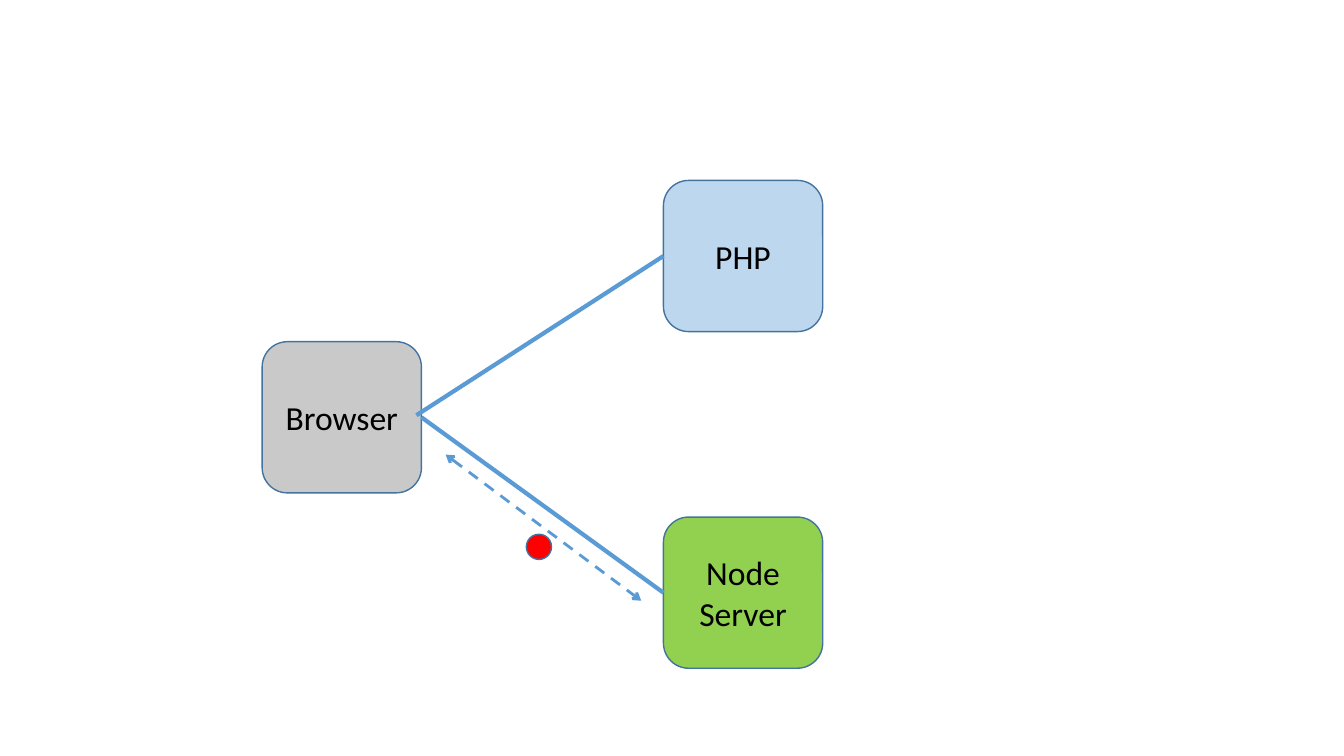
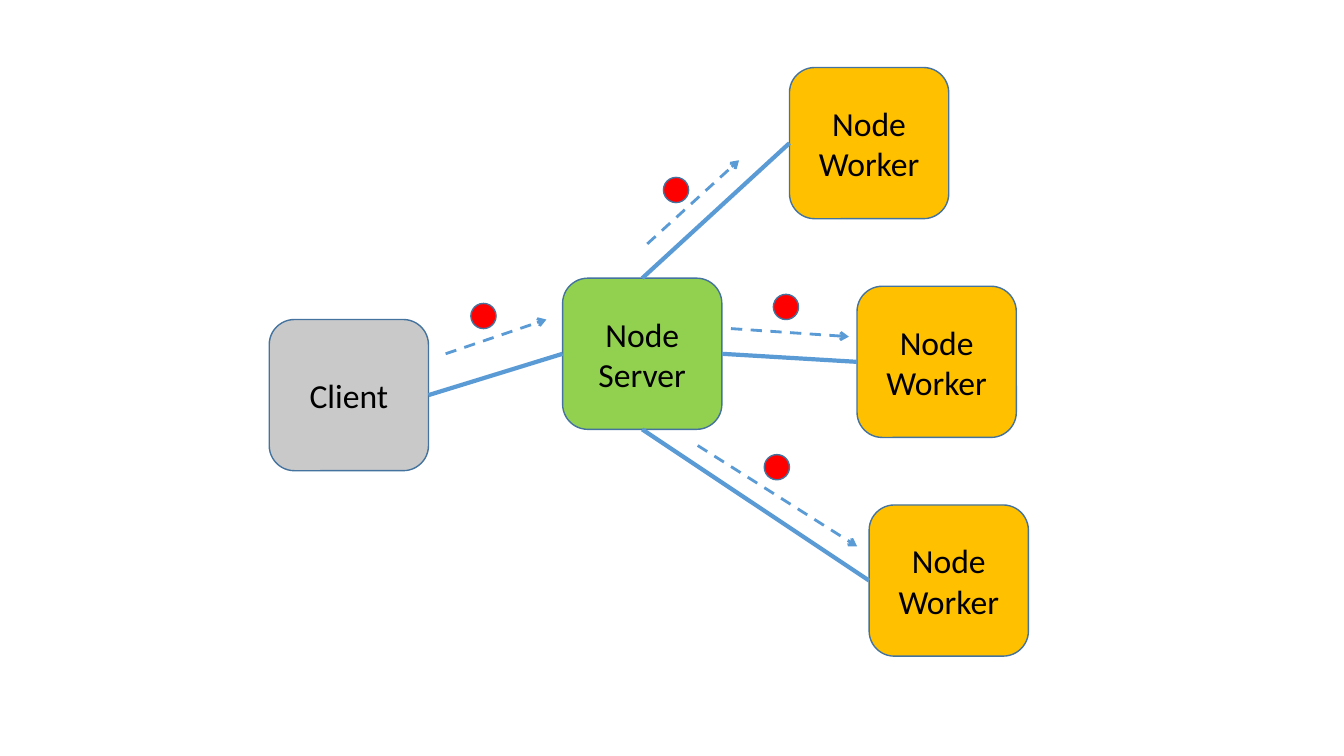
from lxml import etree
from pptx import Presentation
from pptx import util as u
from pptx.dml.color import RGBColor
from pptx.enum import dml, shapes, text
from pptx.oxml import ns

GREY, GREEN, GOLD, SKY, RED = "C9C9C9", "92D050", "FFC000", "BDD7EE", "FF0000"
EDGE, LINK, BLACK = "43739E", "5B9BD5", "000000"
WIDE, HIGH, DOT = 1.58, 1.5, 0.25
TOP, LEFT, BOTTOM, RIGHT = range(4)


def paint(target, color):
    target.rgb = RGBColor.from_string(color)


def shift(box, spot):
    return [u.Inches(base + move) for base, move in zip(box, spot)]


def write(shape, words, size=24, color=BLACK, font="Calibri"):
    frame = shape.text_frame
    frame.word_wrap = True
    frame.vertical_anchor = text.MSO_ANCHOR.MIDDLE
    para = frame.paragraphs[0]
    para.text = words
    para.alignment = text.PP_ALIGN.CENTER
    for run in para.runs:
        run.font.size = u.Pt(size)
        run.font.name = font
        paint(run.font.color, color)


def solid(slide, box, spot, size, kind, color):
    shape = slide.shapes.add_shape(kind, *shift(box, spot), *map(u.Inches, size))
    shape.shadow.inherit = False
    shape.fill.solid()
    paint(shape.fill.fore_color, color)
    paint(shape.line.color, EDGE)
    shape.line.width = u.Pt(1)
    return shape


def node(slide, box, spot, words, color):
    kind = shapes.MSO_SHAPE.ROUNDED_RECTANGLE
    shape = solid(slide, box, spot, (WIDE, HIGH), kind, color)
    write(shape, words)
    return shape


def dot(slide, box, spot):
    solid(slide, box, spot, (DOT, DOT), shapes.MSO_SHAPE.OVAL, RED)


def line(slide, box, start, end, width=3):
    wire = slide.shapes.add_connector(
        shapes.MSO_CONNECTOR.STRAIGHT, *shift(box, start), *shift(box, end))
    paint(wire.line.color, LINK)
    wire.line.width = u.Pt(width)
    etree.SubElement(wire.element.spPr, ns.qn("a:effectLst"))
    return wire


def link(slide, first, side, last, other):
    wire = line(slide, (0, 0), (0, 0), (1, 1))
    wire.begin_connect(first, side)
    wire.end_connect(last, other)


def arrow(slide, box, start, end, ends=("tailEnd",)):
    wire = line(slide, box, start, end, width=2)
    wire.line.dash_style = dml.MSO_LINE.DASH
    stroke = wire.line._get_or_add_ln()
    for tip in ends:
        etree.SubElement(stroke, ns.qn("a:" + tip), type="arrow")


def web(slide, box):
    server = node(slide, box, (3.98, 3.34), "Node\nServer", GREEN)
    browser = node(slide, box, (0, 1.6), "Browser", GREY)
    link(slide, browser, RIGHT, server, LEFT)
    arrow(slide, box, (1.82, 2.72), (3.76, 4.17), ends=("headEnd", "tailEnd"))
    dot(slide, box, (2.62, 3.51))
    php = node(slide, box, (3.98, 0), "PHP", SKY)
    wire = line(slide, box, (3.98, 0.75), (1.53, 2.33))
    wire.begin_connect(php, LEFT)


def pool(slide, box):
    server = node(slide, box, (2.91, 2.09), "Node\nServer", GREEN)
    client = node(slide, box, (0, 2.5), "Client", GREY)
    link(slide, client, RIGHT, server, LEFT)
    for row, (left, side) in enumerate([(5.16, TOP), (5.83, RIGHT), (5.95, BOTTOM)]):
        worker = node(slide, box, (left, row * 2.17), "Node\nWorker", GOLD)
        link(slide, worker, LEFT, server, side)
    for start, end, ball in [
        ((1.75, 2.84), (2.75, 2.5), (2, 2.34)),
        ((3.75, 1.75), (4.66, 0.92), (3.91, 1.09)),
        ((4.58, 2.59), (5.75, 2.67), (5, 2.25)),
        ((4.25, 3.75), (5.83, 4.75), (4.91, 3.84)),
    ]:
        arrow(slide, box, start, end)
        dot(slide, box, ball)


def main():
    deck = Presentation()
    deck.slide_width, deck.slide_height = u.Inches(13.33), u.Inches(7.5)
    for draw, box in [(web, (2.6, 1.79)), (pool, (2.67, 0.67))]:
        draw(deck.slides.add_slide(deck.slide_layouts[6]), box)
    deck.save("out.pptx")


if __name__ == "__main__":
    main()
